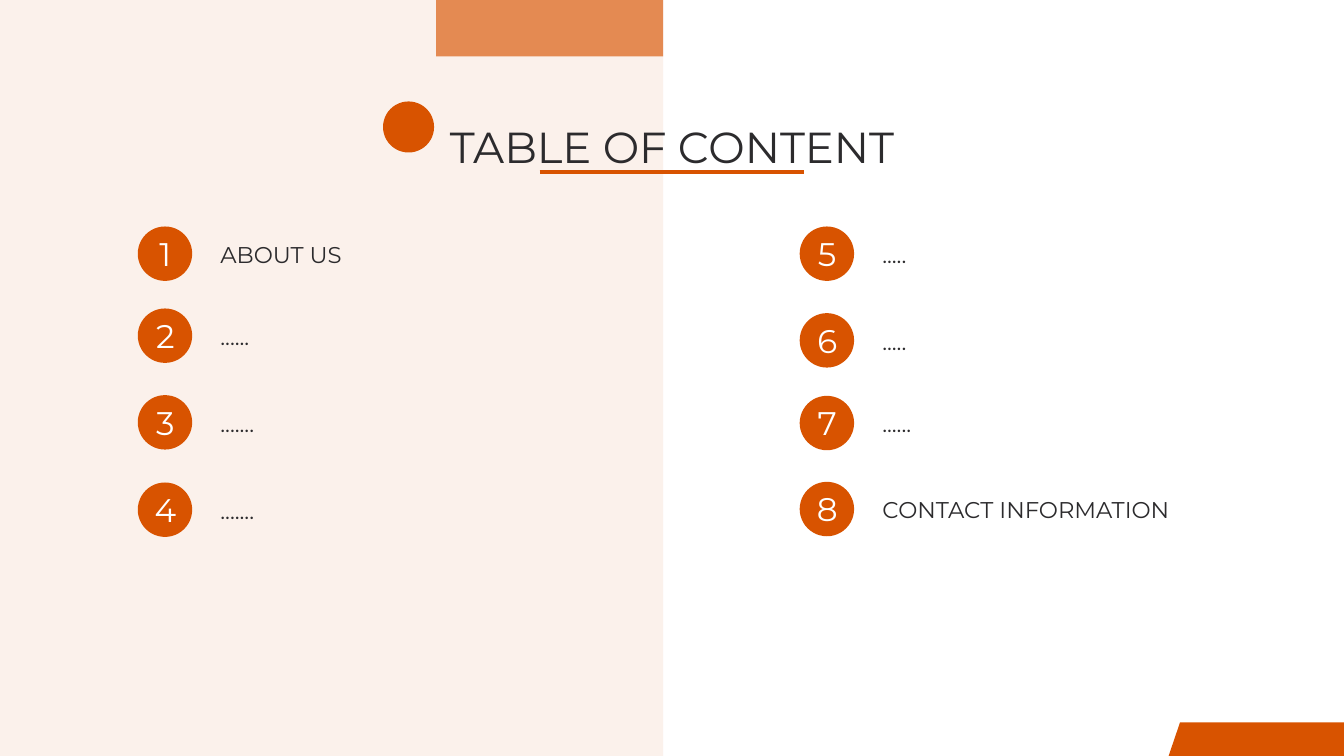
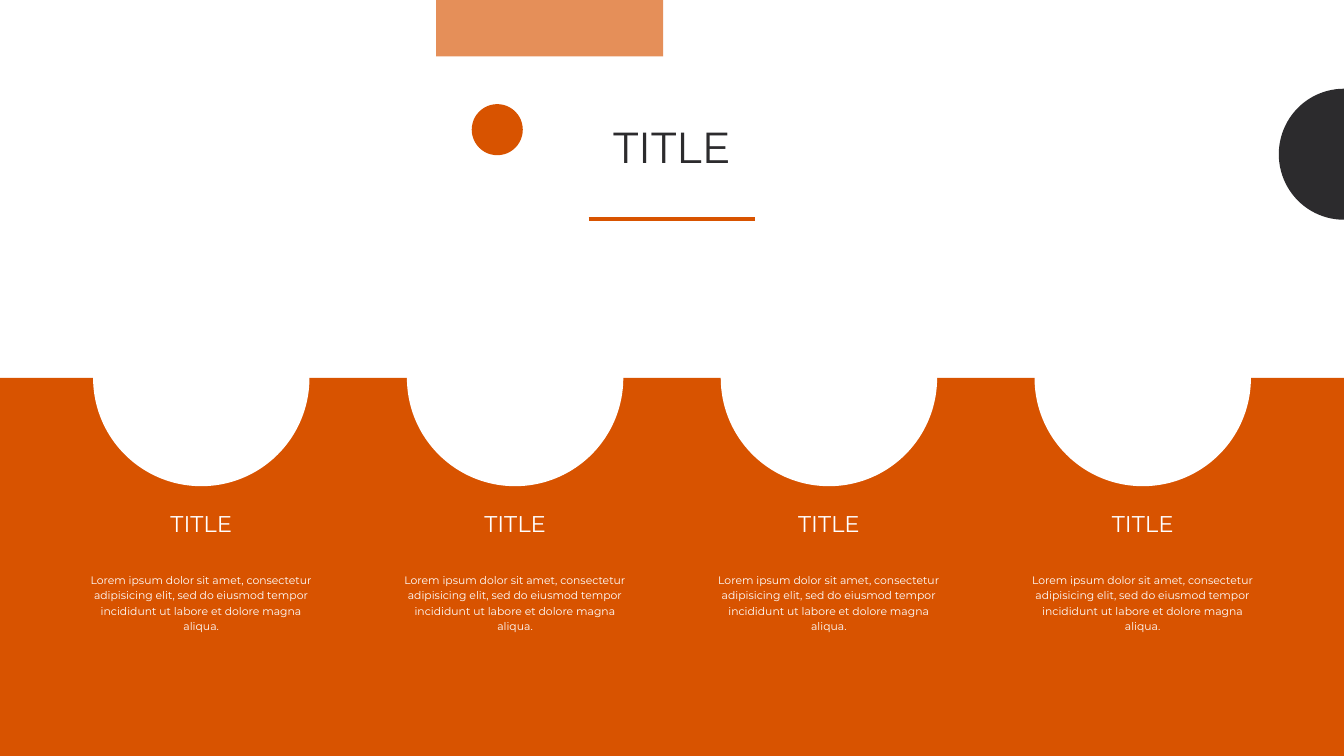
from dataclasses import dataclass

from lxml.etree import SubElement
from pptx import Presentation
from pptx.dml.color import RGBColor
from pptx.enum.shapes import MSO_CONNECTOR, MSO_SHAPE
from pptx.enum.text import MSO_AUTO_SIZE, PP_ALIGN
from pptx.oxml.ns import qn
from pptx.util import Inches, Pt

CONTENTS = {
    "heading": "TABLE OF CONTENT",
    "dot": (5.7, 1.51),
    "rule": (3.94, 2.56),
    "columns": [
        (2.05, [("1", "ABOUT US", 3.37), ("2", "......", 4.59),
                ("3", ".......", 5.88), ("4", ".......", 7.18)]),
        (11.9, [("5", ".....", 3.37), ("6", ".....", 4.66),
                ("7", "......", 5.89), ("8", "CONTACT INFORMATION", 7.17)]),
    ],
}

LOREM = ("Lorem ipsum dolor sit amet, consectetur adipisicing elit, sed do eiusmod "
         "tempor incididunt ut labore et dolore magna aliqua.")
CARDS = {
    "heading": "TITLE",
    "dot": (7.02, 1.55),
    "rule": (2.48, 3.26),
    "cards": [("TITLE", LOREM)] * 4,
}


@dataclass(frozen=True)
class Theme:
    accent: str = "D85300"
    dark: str = "2C2B2D"
    light: str = "FFFFFF"
    font: str = "Montserrat"
    heading: tuple = (46.5, 53)
    number: tuple = (35, 39.9)
    label: tuple = (24.4, 27.9)
    body: tuple = (11.6, 16.2)
    rule: float = 3.75


THEME = Theme()
WIDTH, HEIGHT = 20, 11.25
BLEED = 0.29
SPLIT = 9.87
DOT = 0.76
BADGE = 0.81
NOTCH = 3.22
CARD_PITCH = 4.67


def put_shape(slide, kind, box, color, opacity=None):
    shape = slide.shapes.add_shape(kind, *map(Inches, box))
    shape.shadow.inherit = False
    shape.fill.solid()
    shape.fill.fore_color.rgb = RGBColor.from_string(color)
    shape.line.fill.background()
    if opacity:
        tint = shape._element.spPr.find(qn("a:solidFill"))[0]
        SubElement(tint, qn("a:alpha"), val=str(opacity * 1000))
    return shape


def put_text(slide, text, box, style, color, align=PP_ALIGN.CENTER):
    size, leading = style
    frame = slide.shapes.add_textbox(*map(Inches, box)).text_frame
    paragraph = frame.paragraphs[0]
    run = paragraph.add_run()
    formats = [
        (frame, {"word_wrap": True, "auto_size": MSO_AUTO_SIZE.SHAPE_TO_FIT_TEXT,
                 "margin_left": 0, "margin_right": 0, "margin_top": 0, "margin_bottom": 0}),
        (paragraph, {"alignment": align, "line_spacing": Pt(leading)}),
        (run, {"text": text}),
        (run.font, {"name": THEME.font, "size": Pt(size)}),
        (run.font.color, {"rgb": RGBColor.from_string(color)}),
    ]
    for target, values in formats:
        for key, value in values.items():
            setattr(target, key, value)


def put_band(slide):
    put_shape(slide, MSO_SHAPE.RECTANGLE, (6.49, -BLEED, SPLIT - 6.49, 0.84 + BLEED),
              THEME.accent, 65)


def put_heading(slide, content):
    length, y = content["rule"]
    ends = (WIDTH - length) / 2, y, (WIDTH + length) / 2, y
    rule = slide.shapes.add_connector(MSO_CONNECTOR.STRAIGHT, *map(Inches, ends))
    rule.line.color.rgb = RGBColor.from_string(THEME.accent)
    rule.line.width = Pt(THEME.rule)
    SubElement(rule._element.spPr, qn("a:effectLst"))
    put_shape(slide, MSO_SHAPE.OVAL, (*content["dot"], DOT, DOT), THEME.accent)
    put_text(slide, content["heading"], (6.12, 1.82, 7.76, 0.74), THEME.heading, THEME.dark)


def build_contents(slide):
    put_shape(slide, MSO_SHAPE.RECTANGLE,
              (-BLEED, -BLEED, SPLIT + BLEED, HEIGHT + 2 * BLEED), THEME.accent, 8)
    put_band(slide)
    corner = put_shape(slide, MSO_SHAPE.PARALLELOGRAM, (17.22, 10.75, 3.28, 1), THEME.accent)
    corner.adjustments[0] = 0.34
    put_heading(slide, CONTENTS)
    for left, entries in CONTENTS["columns"]:
        for number, label, top in entries:
            put_shape(slide, MSO_SHAPE.OVAL, (left, top, BADGE, BADGE), THEME.accent)
            put_text(slide, number, (left + 0.19, top + 0.14, 0.44, 0.56),
                     THEME.number, THEME.light)
            put_text(slide, label, (left + 1.23, top + 0.23, 4.82, 0.38),
                     THEME.label, THEME.dark, PP_ALIGN.LEFT)


def build_cards(slide):
    middle = HEIGHT / 2
    put_band(slide)
    put_shape(slide, MSO_SHAPE.RECTANGLE,
              (-BLEED, middle, WIDTH + 2 * BLEED, middle + BLEED), THEME.accent)
    put_heading(slide, CARDS)
    put_shape(slide, MSO_SHAPE.OVAL, (19.03, 1.32, 1.94, 1.95), THEME.dark)
    cards = CARDS["cards"]
    for index, (title, body) in enumerate(cards):
        center = WIDTH / 2 + (index - (len(cards) - 1) / 2) * CARD_PITCH
        put_shape(slide, MSO_SHAPE.OVAL,
                  (center - NOTCH / 2, middle - NOTCH / 2, NOTCH, NOTCH), THEME.light)
        put_text(slide, title, (center - 1.08, 7.6, 2.16, 0.38), THEME.label, THEME.light)
        put_text(slide, body, (center - 1.75, 8.51, 3.5, 0.88), THEME.body, THEME.light)


def main():
    deck = Presentation()
    deck.slide_width, deck.slide_height = Inches(WIDTH), Inches(HEIGHT)
    for build in (build_contents, build_cards):
        build(deck.slides.add_slide(deck.slide_layouts[6]))
    deck.save("out.pptx")


if __name__ == "__main__":
    main()
